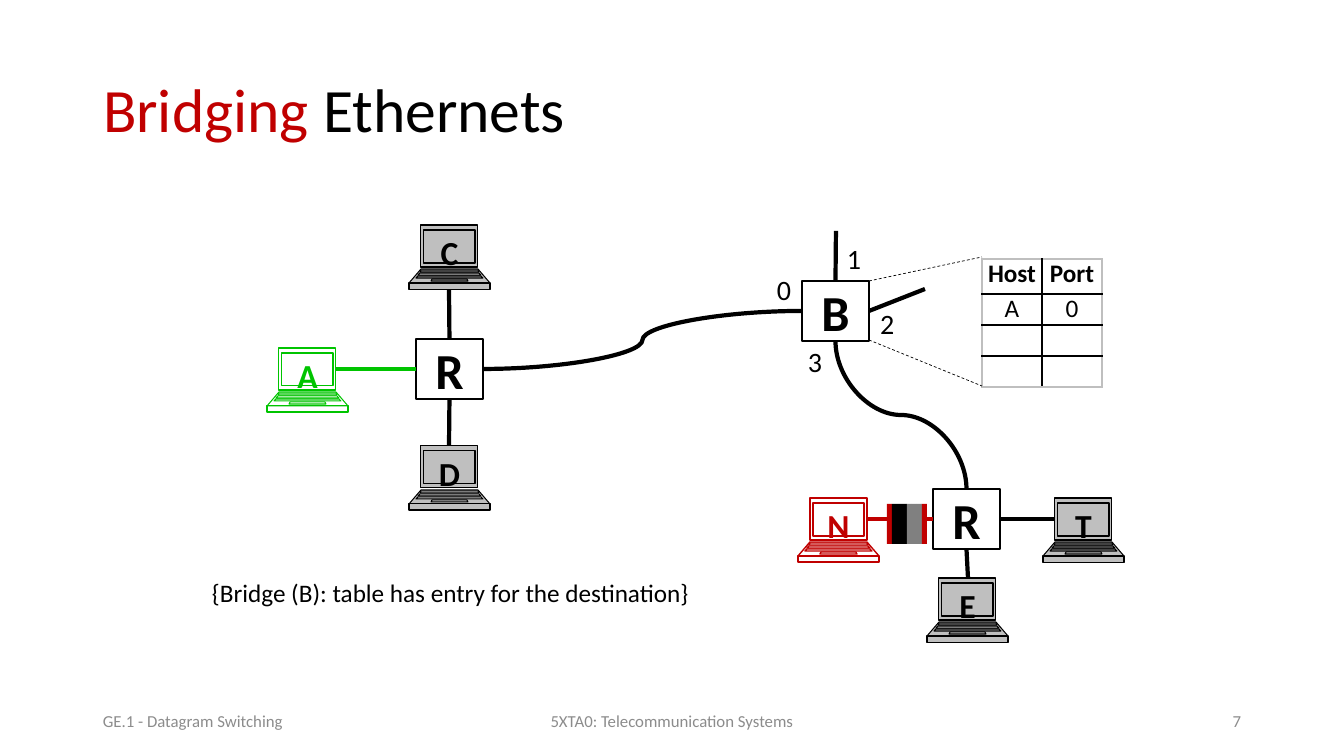
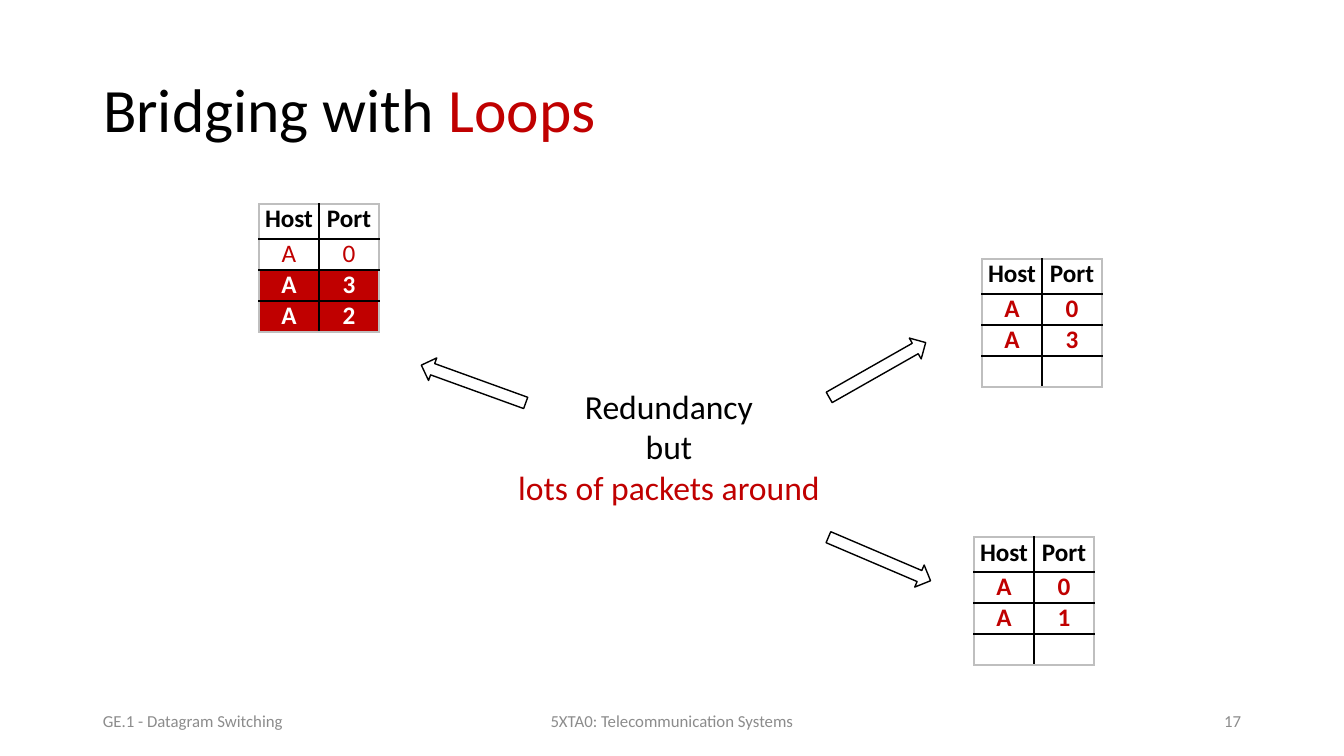
from itertools import accumulate

from lxml.etree import SubElement
from pptx import Presentation
from pptx.dml.color import RGBColor
from pptx.enum.dml import MSO_LINE
from pptx.enum.shapes import MSO_CONNECTOR, MSO_SHAPE
from pptx.enum.text import MSO_ANCHOR, PP_ALIGN
from pptx.oxml.ns import qn
from pptx.util import Pt

EMU_PER_PX = 914400 / 100.8
SLIDE_SIZE = (1344, 756)
FONT = "Calibri"
COLOURS = {
    "black": "000000",
    "white": "FFFFFF",
    "red": "C00000",
    "green": "00C400",
    "silver": "BFBFBF",
    "grey": "808080",
    "footer": "8C8C8C",
}
TOP, LEFT, BOTTOM, RIGHT = range(4)
MARGINS = ("margin_left", "margin_top", "margin_right", "margin_bottom")
LAPTOP_WIDTH = 81
LAPTOP_PARTS = [
    (12, 12, 0, 42),
    (12, 0, 44, 58),
    (0, 0, 58, 64),
    (15, 15, 5, 38),
    (12, 11, 45, 47),
    (23, 22, 54, 56),
    (11, 9, 48, 50),
    (9, 7, 51, 53),
]
COLUMN_WIDTHS = [60, 60]
ROW_HEIGHTS = [35, 31, 31, 31]
HEADER = ("Host", "Port", {"bold": True})
PLAIN = {}
RED = {"colour": "red"}
RED_BOLD = {"colour": "red", "bold": True}
ALERT = {"colour": "white", "bold": True, "fill": "red"}
EMPTY = ("", "", PLAIN)
FOOTERS = [
    (93, 302, PP_ALIGN.LEFT, "GE.1 - Datagram Switching"),
    (445, 454, PP_ALIGN.CENTER, "5XTA0: Telecommunication Systems"),
    (949, 302, PP_ALIGN.RIGHT, "{number}"),
]


def px(*lengths):
    return [round(length * EMU_PER_PX) for length in lengths]


def rgb(name):
    return RGBColor.from_string(COLOURS[name])


def set_all(target, values):
    for name, value in values.items():
        setattr(target, name, value)


class Deck:
    def __init__(self):
        self.presentation = Presentation()
        width, height = px(*SLIDE_SIZE)
        set_all(self.presentation, {"slide_width": width, "slide_height": height})
        self.shapes = None

    def slide(self, title, number):
        layout = self.presentation.slide_layouts[5]
        self.shapes = self.presentation.slides.add_slide(layout).shapes
        heading = self.shapes.title
        set_all(heading, dict(zip(("left", "top", "width", "height"), px(93, 40, 1159, 146))))
        self.fill_text(heading.text_frame, [title], 44, align=PP_ALIGN.LEFT,
                       anchor=MSO_ANCHOR.MIDDLE, spacing=0.9)
        for left, width, align, words in FOOTERS:
            self.text((left, 701, width, 40), [[(words.format(number=number), "footer")]], 12,
                      align=align, anchor=MSO_ANCHOR.MIDDLE)

    def fill_text(self, frame, paragraphs, size, bold=False, align=PP_ALIGN.CENTER,
                  anchor=MSO_ANCHOR.TOP, wrap=True, insets=None, spacing=None):
        set_all(frame, {"word_wrap": wrap, "vertical_anchor": anchor})
        if insets:
            set_all(frame, dict(zip(MARGINS, px(*insets))))
        for index, runs in enumerate(paragraphs):
            paragraph = frame.add_paragraph() if index else frame.paragraphs[0]
            set_all(paragraph, {"alignment": align, "line_spacing": spacing})
            for words, colour in runs:
                run = paragraph.add_run()
                run.text = words
                set_all(run.font, {"name": FONT, "size": Pt(size), "bold": bold})
                run.font.color.rgb = rgb(colour)

    def text(self, box, paragraphs, size, **layout):
        self.fill_text(self.shapes.add_textbox(*px(*box)).text_frame, paragraphs, size, **layout)

    def label(self, box, words, size=20):
        self.text(box, [[(words, "black")]], size, align=PP_ALIGN.LEFT,
                  wrap=False, insets=(0, 0, 0, 0))

    def paint(self, shape, fill, line=None, weight=1):
        shape.shadow.inherit = False
        if fill:
            shape.fill.solid()
            shape.fill.fore_color.rgb = rgb(fill)
        else:
            shape.fill.background()
        if line:
            shape.line.color.rgb = rgb(line)
            shape.line.width = Pt(weight)
        else:
            shape.line.fill.background()

    def node(self, left, top, letter):
        node = self.shapes.add_shape(MSO_SHAPE.RECTANGLE, *px(left, top, 67, 60))
        self.paint(node, "white", "black")
        self.fill_text(node.text_frame, [[(letter, "black")]], 36, bold=True,
                       anchor=MSO_ANCHOR.MIDDLE, insets=(4, 0, 4, 0))
        return node

    def arrow(self, left, top, rotation):
        arrow = self.shapes.add_shape(MSO_SHAPE.RIGHT_ARROW, *px(left, top, 111, 24))
        self.paint(arrow, "white", "black")
        arrow.rotation = rotation

    def laptop(self, left, top, letter, fill="silver", ink="black", weight=0.75):
        outlines = [
            [(left + upper, top + start), (left + lower, top + end),
             (left + LAPTOP_WIDTH - lower, top + end),
             (left + LAPTOP_WIDTH - upper, top + start)]
            for upper, lower, start, end in LAPTOP_PARTS
        ]
        builder = self.shapes.build_freeform(*outlines[0][0], scale=EMU_PER_PX)
        for index, corners in enumerate(outlines):
            if index:
                builder.move_to(*corners[0])
            builder.add_line_segments(corners[1:], close=True)
        laptop = builder.convert_to_shape()
        merged = laptop._element.xpath(".//a:path")[0]
        steps = list(merged)
        stride = len(steps) // len(outlines)
        for first in range(stride, len(steps), stride):
            part = SubElement(merged.getparent(), merged.tag, dict(merged.attrib))
            part.extend(steps[first:first + stride])
        self.paint(laptop, fill, ink, weight)
        self.fill_text(laptop.text_frame, [[(letter, ink)]], 24, bold=True, insets=(0, 7, 0, 0))

    def style_line(self, connector, colour, weight, dash=None):
        connector.line.color.rgb = rgb(colour)
        set_all(connector.line, {"width": Pt(weight), "dash_style": dash})
        SubElement(connector._element.spPr, qn("a:effectLst"))

    def line(self, start, end, colour="black", weight=3, dash=None):
        connector = self.shapes.add_connector(MSO_CONNECTOR.STRAIGHT, *px(*start, *end))
        self.style_line(connector, colour, weight, dash)
        return connector

    def link(self, start, node, side, colour="black"):
        self.line(start, start, colour).end_connect(node, side)

    def curve(self, begin, begin_side, end, end_side):
        connector = self.shapes.add_connector(MSO_CONNECTOR.CURVE, 0, 0, 0, 0)
        connector.begin_connect(begin, begin_side)
        connector.end_connect(end, end_side)
        self.style_line(connector, "black", 3)
        if begin_side == TOP:
            width, height = connector.width, connector.height
            shift = (width - height) // 2
            set_all(connector, {"left": connector.left + shift, "top": connector.top - shift,
                                "width": height, "height": width})
            frame = connector._element.spPr.find(qn("a:xfrm"))
            for name, value in {"rot": "16200000", "flipH": "0", "flipV": "1"}.items():
                frame.set(name, value)

    def packet(self, left, top, height, stripes):
        group = self.shapes.add_group_shape()
        widths = [width for width, _ in stripes]
        for offset, (width, colour) in zip(accumulate(widths, initial=0), stripes):
            stripe = group.shapes.add_shape(
                MSO_SHAPE.RECTANGLE, *px(left + offset, top, width, height))
            self.paint(stripe, colour)

    def border(self, cell, tag, colour):
        edge = SubElement(cell._tc.get_or_add_tcPr(), qn(tag), w=str(Pt(1)))
        SubElement(SubElement(edge, qn("a:solidFill")), qn("a:srgbClr"), val=COLOURS[colour])

    def table(self, left, top, *entries):
        rows = [HEADER, *entries]
        size = (sum(COLUMN_WIDTHS), sum(ROW_HEIGHTS))
        table = self.shapes.add_table(
            len(rows), len(COLUMN_WIDTHS), *px(left, top, *size)).table
        set_all(table, {"first_row": False, "horz_banding": False})
        for column, width in zip(table.columns, px(*COLUMN_WIDTHS)):
            column.width = width
        for row, height in zip(table.rows, px(*ROW_HEIGHTS)):
            row.height = height
        for r, (host, port, look) in enumerate(rows):
            for c, words in enumerate((host, port)):
                cell = table.cell(r, c)
                outer = {"a:lnL": c == 0, "a:lnR": c == 1,
                         "a:lnT": r == 0, "a:lnB": r == len(rows) - 1}
                for tag, is_outer in outer.items():
                    self.border(cell, tag, "silver" if is_outer else "black")
                cell.fill.solid()
                cell.fill.fore_color.rgb = rgb(look.get("fill", "white"))
                set_all(cell, dict(zip(MARGINS, px(4, 0, 4, 0))))
                runs = [(words, look.get("colour", "black"))] if words else []
                self.fill_text(cell.text_frame, [runs], 18, bold=look.get("bold", False))


def bridging_ethernets(deck):
    deck.slide([("Bridging", "red"), (" Ethernets", "black")], 7)
    left_repeater = deck.node(416, 339, "R")
    bridge = deck.node(802, 281, "B")
    right_repeater = deck.node(933, 489, "R")
    deck.curve(left_repeater, RIGHT, bridge, LEFT)
    deck.curve(right_repeater, TOP, bridge, BOTTOM)
    for start, node, side, colour in [
        ((449, 289), left_repeater, TOP, "black"),
        ((336, 369), left_repeater, LEFT, "green"),
        ((449, 446), left_repeater, BOTTOM, "black"),
        ((867, 519), right_repeater, LEFT, "red"),
        ((968, 578), right_repeater, BOTTOM, "black"),
        ((1056, 519), right_repeater, RIGHT, "black"),
        ((836, 231), bridge, TOP, "black"),
        ((925, 289), bridge, RIGHT, "black"),
    ]:
        deck.link(start, node, side, colour)
    deck.laptop(267, 348, "A", fill=None, ink="green")
    deck.laptop(798, 498, "N", fill="white", ink="red", weight=1)
    for left, top, letter in [(409, 225, "C"), (927, 578, "E"), (1043, 498, "T"), (409, 446, "D")]:
        deck.laptop(left, top, letter)
    for left, top, port in [(777, 272, "0"), (847, 241, "1"), (880, 306, "2"), (808, 345, "3")]:
        deck.label((left, top, 14, 34), port)
    deck.label((212, 577, 483, 30), "{Bridge (B): table has entry for the destination}", 18)
    deck.table(982, 259, ("A", "0", PLAIN), EMPTY, EMPTY)
    for start, end in [((869, 340), (982, 386)), ((869, 281), (982, 257))]:
        deck.line(start, end, weight=0.5, dash=MSO_LINE.DASH)
    deck.packet(887, 504, 40, [(5, "red"), (15, "black"), *[(5, "grey")] * 3, (5, "red")])


def bridging_with_loops(deck):
    deck.slide([("Bridging with ", "black"), ("Loops", "red")], 17)
    deck.table(259, 204, ("A", "0", RED), ("A", "3", ALERT), ("A", "2", ALERT))
    deck.table(982, 259, ("A", "0", RED_BOLD), ("A", "3", RED_BOLD), EMPTY)
    deck.table(974, 537, ("A", "0", RED_BOLD), ("A", "1", RED_BOLD), EMPTY)
    message = [("Redundancy", "black"), ("but", "black"), ("lots of packets around", "red")]
    deck.text((510, 386, 318, 122), [[line] for line in message], 24, insets=(4, 0, 4, 0))
    for left, top, rotation in [(418, 372, 199.9), (822, 358, 330.4), (824, 547, 23.1)]:
        deck.arrow(left, top, rotation)


def main():
    deck = Deck()
    bridging_ethernets(deck)
    bridging_with_loops(deck)
    deck.presentation.save("out.pptx")


if __name__ == "__main__":
    main()
